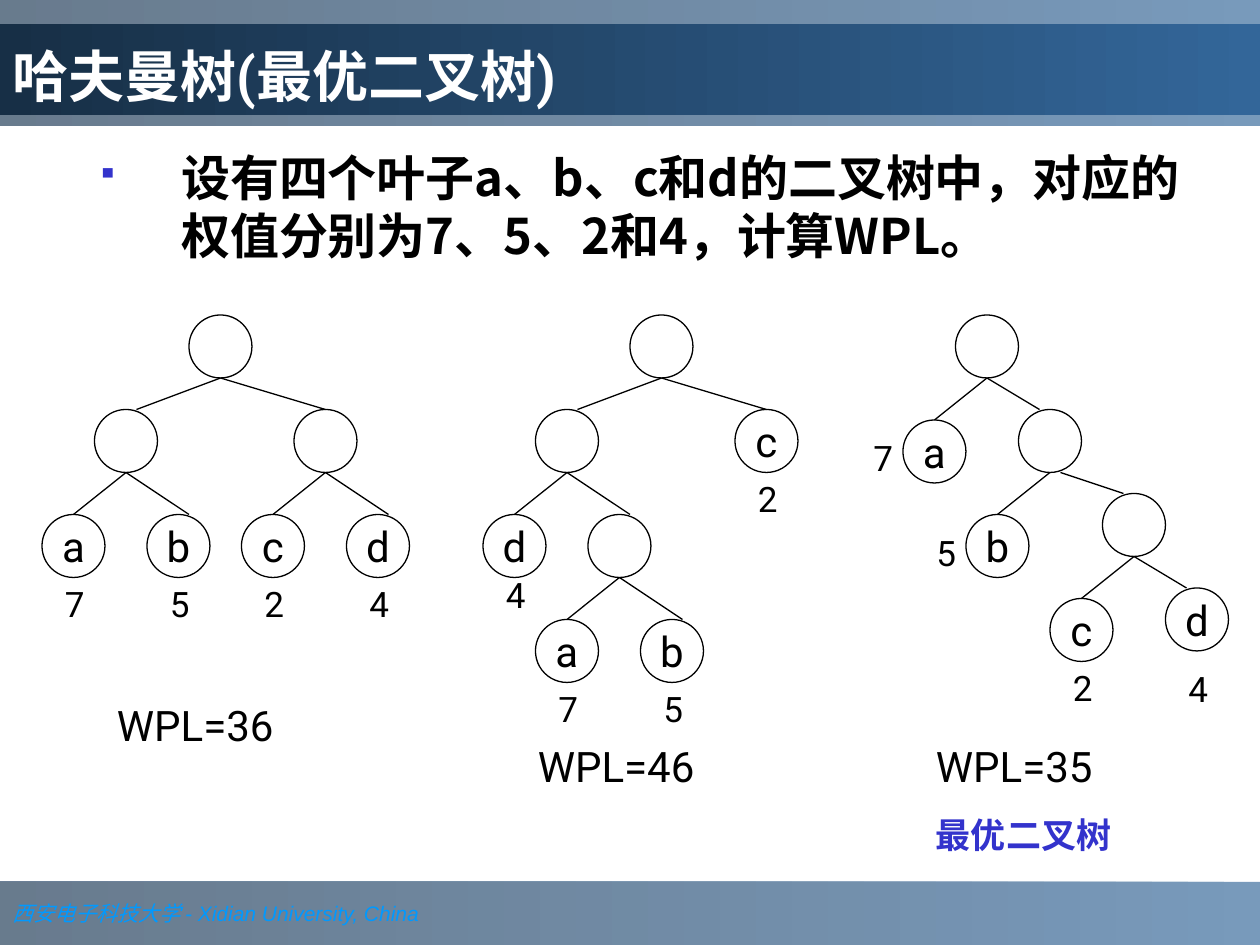
import pptx
import pptx.dml.color
import pptx.enum.shapes
import pptx.enum.text
import pptx.oxml.ns
import pptx.util
from lxml import etree

Inches, Pt = pptx.util.Inches, pptx.util.Pt
qn = pptx.oxml.ns.qn
ANCHOR = pptx.enum.text.MSO_ANCHOR
ALIGN = pptx.enum.text.PP_ALIGN
SHAPE = pptx.enum.shapes.MSO_SHAPE
STRAIGHT = pptx.enum.shapes.MSO_CONNECTOR.STRAIGHT

UNIT = 1 / 12  # the trees sit on a grid of twelfths of an inch
NODE = 6       # node diameter in grid units


def color(value):
    return pptx.dml.color.RGBColor.from_string(value)


def add_xml(parent, tag, **attributes):
    element = etree.SubElement(parent, qn(tag))
    for name, value in attributes.items():
        element.set(name, value)
    return element


class SlideBuilder:
    font_name = "Roboto"
    ink = "000000"
    accent = "3333CC"
    line_width = 0.75

    def __init__(self, presentation):
        self.slide = presentation.slides.add_slide(presentation.slide_layouts[5])
        self.shapes = self.slide.shapes

    def format_font(self, font, size, fill=None, name=None, bold=False, italic=False):
        font.size, font.bold, font.italic = Pt(size), bold, italic
        font.name = name or self.font_name
        font.color.rgb = color(fill or self.ink)

    def gradient(self, shape, start, end, alpha=None):
        shape.fill.gradient()
        shape.fill.gradient_angle = 180
        for stop, value in zip(shape.fill.gradient_stops, (start, end)):
            stop.color.rgb = color(value)
        if alpha:
            for rgb in shape._element.spPr.iter(qn("a:srgbClr")):
                add_xml(rgb, "a:alpha", val=str(alpha * 1000))

    def band(self, top, height):
        shape = self.shapes.add_shape(SHAPE.RECTANGLE, 0, Inches(top), Inches(10), Inches(height))
        shape.shadow.inherit = False
        shape.line.fill.background()
        self.gradient(shape, "336699", "1B3753", 66)
        return shape

    def title(self, text):
        title = self.shapes.title
        title.left, title.top = Inches(0), Inches(0.19)
        title.width, title.height = Inches(10), Inches(0.72)
        self.gradient(title, "336699", "172F46")
        frame = title.text_frame
        frame.text = text
        frame.auto_size = pptx.enum.text.MSO_AUTO_SIZE.NONE
        frame.vertical_anchor = ANCHOR.BOTTOM
        paragraph = frame.paragraphs[0]
        paragraph.alignment = ALIGN.LEFT
        self.format_font(paragraph.font, 32, "FFFFFF", bold=True)
        # Bring the title in front of the bands
        self.shapes._spTree.append(title._element)

    def footer(self, band, parts):
        frame = band.text_frame
        frame.word_wrap = False
        frame.vertical_anchor = ANCHOR.MIDDLE
        paragraph = frame.paragraphs[0]
        paragraph.alignment = ALIGN.LEFT
        for text, name in parts:
            run = paragraph.add_run()
            run.text = text
            self.format_font(run.font, 12, "0099FF", name, italic=True)

    def text(self, shapes, left, top, width, height, content, size):
        box = shapes.add_textbox(Inches(left), Inches(top), Inches(width), Inches(height))
        frame = box.text_frame
        frame.word_wrap = True
        frame.text = content
        self.format_font(frame.paragraphs[0].font, size)
        return frame

    def bullet(self, content):
        frame = self.text(self.shapes, 0.67, 1.08, 9.13, 1.25, "", 28)
        frame.margin_top = Inches(0.1)
        paragraph = frame.paragraphs[0]
        paragraph.text = content
        paragraph.line_spacing = Pt(33)
        properties = paragraph._p.get_or_add_pPr()
        properties.set("marL", str(Inches(0.67)))
        properties.set("indent", str(-Inches(0.67)))
        default_font = properties.find(qn("a:defRPr"))
        properties.remove(default_font)
        add_xml(add_xml(properties, "a:buClr"), "a:srgbClr", val=self.accent)
        add_xml(properties, "a:buSzPct", val="60000")
        add_xml(properties, "a:buChar", char="▪")
        name = "Noto Sans CJK SC"
        self.format_font(paragraph.font, 28, name=name, bold=True)
        add_xml(properties.find(qn("a:defRPr")), "a:ea", typeface=name)

    def node(self, shapes, x, y, label):
        side = Inches(NODE * UNIT)
        circle = shapes.add_shape(SHAPE.OVAL, Inches(x * UNIT), Inches(y * UNIT), side, side)
        circle.shadow.inherit = False
        circle.fill.background()
        circle.line.color.rgb = color(self.ink)
        circle.line.width = Pt(self.line_width)
        if label:
            frame = circle.text_frame
            frame.margin_left = frame.margin_right = 0
            frame.margin_top = frame.margin_bottom = 0
            frame.word_wrap = False
            frame.vertical_anchor = ANCHOR.MIDDLE
            frame.text = label
            paragraph = frame.paragraphs[0]
            paragraph.alignment = ALIGN.CENTER
            self.format_font(paragraph.font, 24)

    def edge(self, shapes, *ends):
        line = shapes.add_connector(STRAIGHT, *(Inches(end * UNIT) for end in ends))
        line.line.color.rgb = color(self.ink)
        line.line.width = Pt(self.line_width)
        add_xml(line._element.spPr, "a:effectLst")

    def tree(self, nodes, edges):
        shapes = self.shapes.add_group_shape().shapes
        for parent, child, start_shift, end_shift in edges:
            (x1, y1), (x2, y2) = nodes[parent][:2], nodes[child][:2]
            self.edge(shapes, x1 + NODE / 2 + start_shift, y1 + NODE,
                      x2 + NODE / 2 + end_shift, y2)
        for x, y, label, weight, dx, dy in nodes.values():
            self.node(shapes, x, y, label)
            if weight:
                self.text(shapes, (x + dx) * UNIT, (y + dy) * UNIT, 0.33, 0.44, weight, 20)


def inner(x, y):
    return x, y, "", "", 0, 0


def leaf(x, y, label, weight, dx=1, dy=5.9):
    return x, y, label, weight, dx, dy


# Nodes in grid units; edges as parent, child, shift of start, shift of end
TREES = [
    ({"root": inner(18, 30), "left": inner(9, 39), "right": inner(28, 39),
      "a": leaf(4, 49, "a", "7"), "b": leaf(14, 49, "b", "5"),
      "c": leaf(23, 49, "c", "2"), "d": leaf(33, 49, "d", "4")},
     [("root", "left", 0, 1), ("root", "right", 0, 0), ("left", "a", 0, 0),
      ("left", "b", 0, 1), ("right", "c", 0, 0), ("right", "d", 0, 1)]),
    ({"root": inner(60, 30), "left": inner(51, 39), "middle": inner(56, 49),
      "c": leaf(70, 39, "c", "2"), "d": leaf(46, 49, "d", "4", dy=5),
      "a": leaf(51, 59, "a", "7"), "b": leaf(61, 59, "b", "5")},
     [("root", "left", 0, 1), ("root", "c", 0, 0), ("left", "d", 0, 0),
      ("left", "middle", 0, 1), ("middle", "a", 0, 0), ("middle", "b", 0, 1)]),
    ({"root": inner(91, 30), "right": inner(97, 39), "lower": inner(105, 47),
      "a": leaf(86, 40, "a", "7", -4, 1), "b": leaf(92, 49, "b", "5", -4, 1),
      "c": leaf(100, 57, "c", "2"), "d": leaf(111, 56, "d", "4", dy=7)},
     [("root", "a", 0, 0), ("root", "right", 0, -1), ("right", "b", 0, 0),
      ("right", "lower", 1, -1), ("lower", "c", 0, 0), ("lower", "d", 0, -1)]),
]


def main():
    presentation = pptx.Presentation()
    presentation.slide_width, presentation.slide_height = Inches(10), Inches(7.5)
    builder = SlideBuilder(presentation)

    # Bands, footer and title
    builder.footer(builder.band(7, 0.5), [("西安电子科技大学 ", "Times New Roman"),
                                          ("- Xidian University, China", "Arial")])
    builder.band(0, 1)
    builder.title("哈夫曼树(最优二叉树)")

    # Problem statement
    builder.bullet("设有四个叶子a、b、c和d的二叉树中，对应的权值分别为7、5、2和4，计算WPL。")

    # Trees
    for nodes, edges in TREES:
        builder.tree(nodes, edges)

    # Weighted path lengths
    builder.text(builder.shapes, 0.83, 5.5, 1.75, 0.5, "WPL=36", 24)
    builder.text(builder.shapes, 4.17, 5.83, 1.75, 0.5, "WPL=46", 24)
    best = builder.text(builder.shapes, 7.33, 5.83, 2.33, 1.01, "WPL=35", 24)
    verdict = best.add_paragraph()
    verdict.text = "最优二叉树"
    verdict.space_before = Pt(12.5)
    builder.format_font(verdict.font, 20, builder.accent, bold=True)

    presentation.save("out.pptx")


if __name__ == "__main__":
    main()
